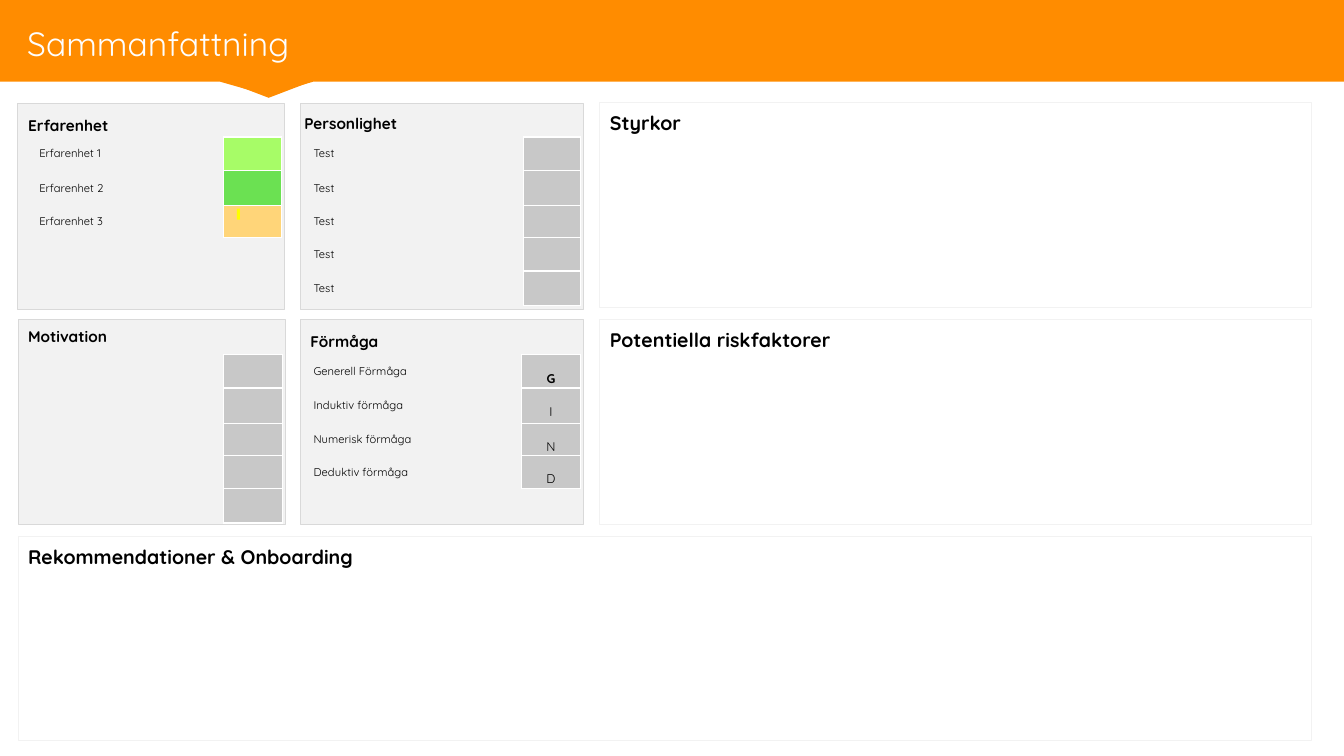
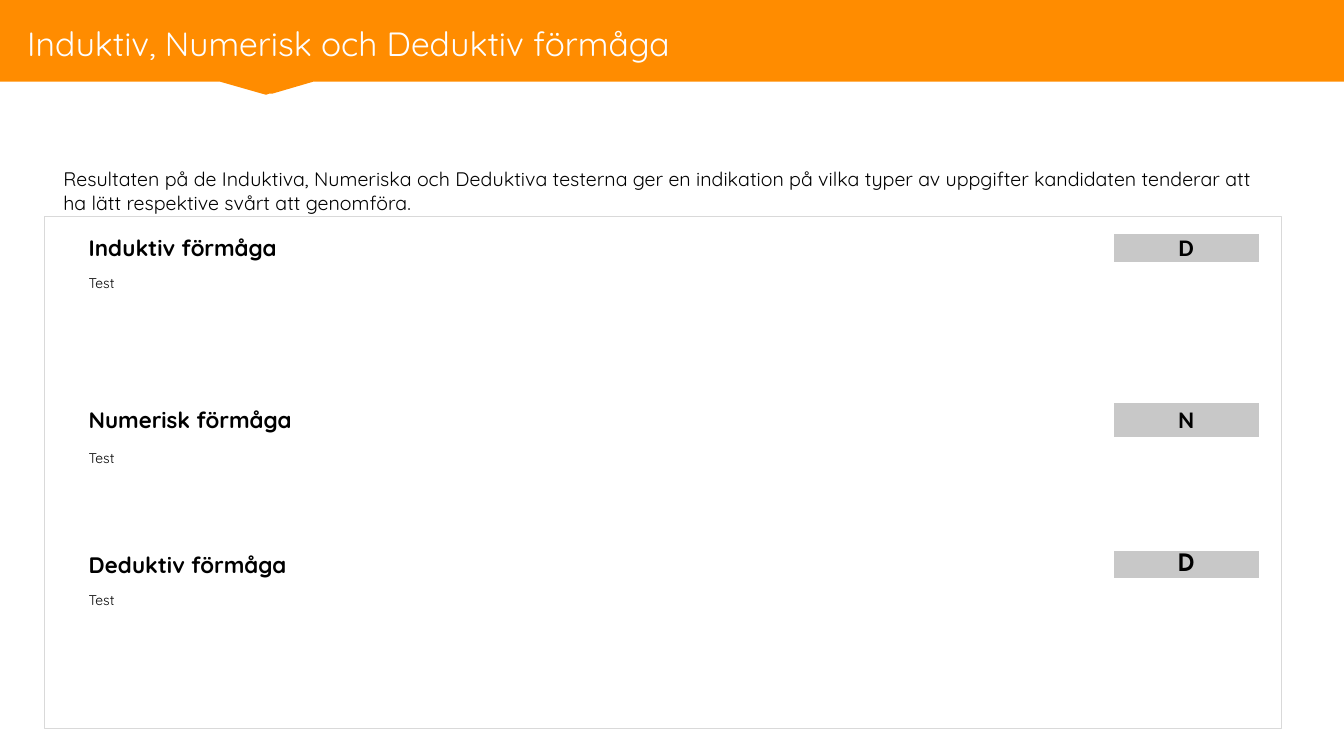
from lxml import etree
from pptx import Presentation
from pptx.dml.color import RGBColor
from pptx.enum.shapes import MSO_SHAPE
from pptx.enum.text import MSO_ANCHOR, MSO_AUTO_SIZE, PP_ALIGN
from pptx.oxml import parse_xml
from pptx.oxml.ns import nsdecls, qn
from pptx.util import Inches, Pt

# Shared look
FONT = "Quicksand"
COLORS = {
    "orange": "FF8C00", "title": "FEFEFE", "text": "000000", "white": "FFFFFF",
    "panel": "F2F2F2", "border": "D9D9D9", "neutral": "C8C8C8", "lime": "A7FC67",
    "green": "6BE152", "amber": "FFD579", "yellow": "FFFF00",
}
BAND_OUTLINE = [(13.33, 0), (0, 0), (0, 0.81), (2.18, 0.81), (2.6, 0.93), (2.64, 0.94),
                (2.67, 0.93), (2.7, 0.93), (3.11, 0.81), (13.33, 0.81)]
NO_GRID_STYLE = "{2D5ABB26-0587-4C30-8999-92F81FD0307C}"

# Summary content
SUMMARY_TITLE = "Sammanfattning"
ROW_HEIGHTS = [0.33, 0.35, 0.32, 0.33, 0.34]
SCORE_CARDS = [  # each row: label, score letter, score colour
    {"heading": "Erfarenhet", "panel": (0.17, 1.03, 2.65, 2.04), "heading_at": (0.18, 1.08),
     "table_at": (0.27, 1.36), "columns": (1.95, 0.57),
     "rows": [("Erfarenhet 1", "", "lime"), ("Erfarenhet 2", "", "green"),
              ("Erfarenhet 3", "", "amber")]},
    {"heading": "Personlighet", "panel": (2.98, 1.03, 2.81, 2.04), "heading_at": (2.92, 1.06),
     "table_at": (2.99, 1.36), "columns": (2.2, 0.57),
     "rows": [("Test", "", "neutral")] * 5},
    {"heading": "Motivation", "panel": (0.18, 3.17, 2.65, 2.03), "heading_at": (0.18, 3.17),
     "table_at": (0.28, 3.52), "columns": (1.94, 0.58),
     "rows": [("", "", "neutral")] * 5},
    {"heading": "Förmåga", "panel": (2.98, 3.17, 2.81, 2.03), "heading_at": (2.98, 3.22),
     "table_at": (2.99, 3.52), "columns": (2.18, 0.59),
     "rows": [("Generell Förmåga", "G", "neutral"), ("Induktiv förmåga", "I", "neutral"),
              ("Numerisk förmåga", "N", "neutral"), ("Deduktiv förmåga", "D", "neutral")]},
]
NOTE_BOXES = [
    ("Styrkor", (5.95, 1.02, 7.06, 2.03)),
    ("Potentiella riskfaktorer", (5.95, 3.17, 7.06, 2.03)),
    ("Rekommendationer & Onboarding", (0.18, 5.32, 12.83, 2.03)),
]

# Ability content
ABILITY_TITLE = "Induktiv, Numerisk och Deduktiv förmåga"
ABILITY_INTRO = ("Resultaten på de Induktiva, Numeriska och Deduktiva testerna ger en indikation "
                 "på vilka typer av uppgifter kandidaten tenderar att ha lätt respektive svårt "
                 "att genomföra.")
ABILITIES = [  # heading, letter, letter font, comment, top, heading row height
    ("Induktiv förmåga", "D", "Calibri", "Test", 2.32, 0.26),
    ("Numerisk förmåga", "N", "Calibri", "Test", 3.99, 0.35),
    ("Deduktiv förmåga", "D", "TeX Gyre Adventor", "Test", 5.46, 0.25),
]


def rgb(name):
    return RGBColor.from_string(COLORS[name])


def write(frame, content, size, bold=False, color="text", font=FONT, align=PP_ALIGN.LEFT):
    frame.text = content
    paragraph = frame.paragraphs[0]
    paragraph.alignment = align
    for run in paragraph.runs:
        run.font.size, run.font.bold, run.font.name = Pt(size), bold, font
        run.font.color.rgb = rgb(color)
    if not content:
        etree.SubElement(paragraph._p, qn("a:endParaRPr"), sz=str(size * 100))
    return paragraph


def write_heading(frame, content, size):
    paragraph = write(frame, content, size, bold=True)
    paragraph.line_spacing, paragraph.space_after = 1.14, Pt(2)


def style(shape, fill=None, line=None):
    shape.shadow.inherit = False
    if fill:
        shape.fill.solid()
        shape.fill.fore_color.rgb = rgb(fill)
    else:
        shape.fill.background()
    if line:
        shape.line.color.rgb = rgb(line)
        shape.line.width = Pt(0.75)
    else:
        shape.line.fill.background()


def add_box(slide, place, fill=None, line=None, preset=MSO_SHAPE.RECTANGLE):
    box = slide.shapes.add_shape(preset, *map(Inches, place))
    style(box, fill, line)
    return box


def add_text_box(slide, place):
    frame = slide.shapes.add_textbox(*map(Inches, place)).text_frame
    frame.word_wrap = True
    return frame


def add_plain_table(slide, at, columns, heights):
    place = map(Inches, (*at, sum(columns), sum(heights)))
    table = slide.shapes.add_table(len(heights), len(columns), *place).table
    table.first_row = table.horz_banding = False
    table._tbl.tblPr.find(qn("a:tableStyleId")).text = NO_GRID_STYLE
    for column, width in zip(table.columns, columns):
        column.width = Inches(width)
    for row, height in zip(table.rows, heights):
        row.height = Inches(height)
    return table


def format_cell(cell, inset, fill=None, borders="", anchor=MSO_ANCHOR.MIDDLE):
    cell.margin_left = cell.margin_right = Inches(inset)
    cell.margin_top = cell.margin_bottom = 0
    cell.vertical_anchor = anchor
    for side in borders:
        cell._tc.get_or_add_tcPr().append(parse_xml(
            f'<a:ln{side} {nsdecls("a")} w="12700"><a:solidFill>'
            f'<a:srgbClr val="{COLORS["white"]}"/></a:solidFill></a:ln{side}>'))
    if fill:
        cell.fill.solid()
        cell.fill.fore_color.rgb = rgb(fill)
    else:
        cell.fill.background()


def set_up_layout(layout, slide):
    """Put the band and the title position on the layout."""
    points = [(Inches(x), Inches(y)) for x, y in BAND_OUTLINE]
    builder = slide.shapes.build_freeform(*points[0])
    builder.add_line_segments(points[1:], close=True)
    band = builder.convert_to_shape()
    style(band, "orange")
    band.element.nvSpPr.cNvPr.set("id", "90")
    layout.shapes.element.insert(2, band.element)
    title = layout.placeholders[0]
    title.left, title.top, title.width, title.height = map(Inches, (0.17, 0.08, 11.56, 0.6))


def set_title(slide, content):
    frame = slide.shapes.title.text_frame
    frame.vertical_anchor = MSO_ANCHOR.BOTTOM
    frame.auto_size = MSO_AUTO_SIZE.NONE
    run = write(frame, content, 24, color="title").runs[0]
    run._r.rPr.find(qn("a:solidFill")).addnext(parse_xml(
        f'<a:effectLst {nsdecls("a")}><a:outerShdw blurRad="38100" dist="38100" dir="2700000">'
        '<a:srgbClr val="000000"><a:alpha val="43000"/></a:srgbClr></a:outerShdw></a:effectLst>'))


def add_score_card(slide, card):
    add_box(slide, card["panel"], "panel", "border")
    write_heading(add_text_box(slide, (*card["heading_at"], 2.23, 0.47)), card["heading"], 11)
    rows = card["rows"]
    table = add_plain_table(slide, card["table_at"], card["columns"], ROW_HEIGHTS[:len(rows)])
    for index, (label, letter, color) in enumerate(rows):
        label_cell, score_cell = table.cell(index, 0), table.cell(index, 1)
        write(label_cell.text_frame, label, 8)
        format_cell(label_cell, 0.12, borders="R")
        score = write(score_cell.text_frame, letter, 9, bold=letter == "G",
                      align=PP_ALIGN.CENTER)
        if letter:
            score.line_spacing = 2.0
        format_cell(score_cell, 0.12, color, "LRTB", MSO_ANCHOR.TOP)


def build_summary(slide):
    set_title(slide, SUMMARY_TITLE)
    pointer = add_box(slide, (2.22, 0.8, 0.89, 0.17), "orange",
                      preset=MSO_SHAPE.ISOSCELES_TRIANGLE)
    pointer.rotation = 180
    for heading, place in NOTE_BOXES:
        note = add_box(slide, place, line="panel").text_frame
        note.vertical_anchor = MSO_ANCHOR.TOP
        write_heading(note, heading, 14)
    for card in SCORE_CARDS:
        add_score_card(slide, card)
    # Small marker in the third experience score
    add_box(slide, (2.35, 2.07, 0.03, 0.11), "yellow")


def build_abilities(slide):
    set_title(slide, ABILITY_TITLE)
    add_box(slide, (0.44, 2.15, 12.27, 5.08), line="border")
    write(add_text_box(slide, (0.53, 1.61, 12.16, 0.57)), ABILITY_INTRO, 14)
    for heading, letter, letter_font, comment, top, height in ABILITIES:
        table = add_plain_table(slide, (0.75, top), (10.29, 1.45), (height, 0.42))
        write(table.cell(0, 0).text_frame, heading, 16, bold=True)
        write(table.cell(0, 1).text_frame, letter, 17, bold=True, font=letter_font,
              align=PP_ALIGN.CENTER)
        write(table.cell(1, 0).text_frame, comment, 10)
        write(table.cell(1, 1).text_frame, "", 10)
        for cell, fill in zip(table.iter_cells(), (None, "neutral", None, "white")):
            format_cell(cell, 0.13, fill, "LRTB")


def main():
    deck = Presentation()
    deck.slide_width, deck.slide_height = Inches(13.33), Inches(7.5)
    layout = deck.slide_layouts[5]
    summary, abilities = (deck.slides.add_slide(layout) for _ in range(2))
    set_up_layout(layout, summary)
    build_summary(summary)
    build_abilities(abilities)
    deck.save("out.pptx")


if __name__ == "__main__":
    main()
